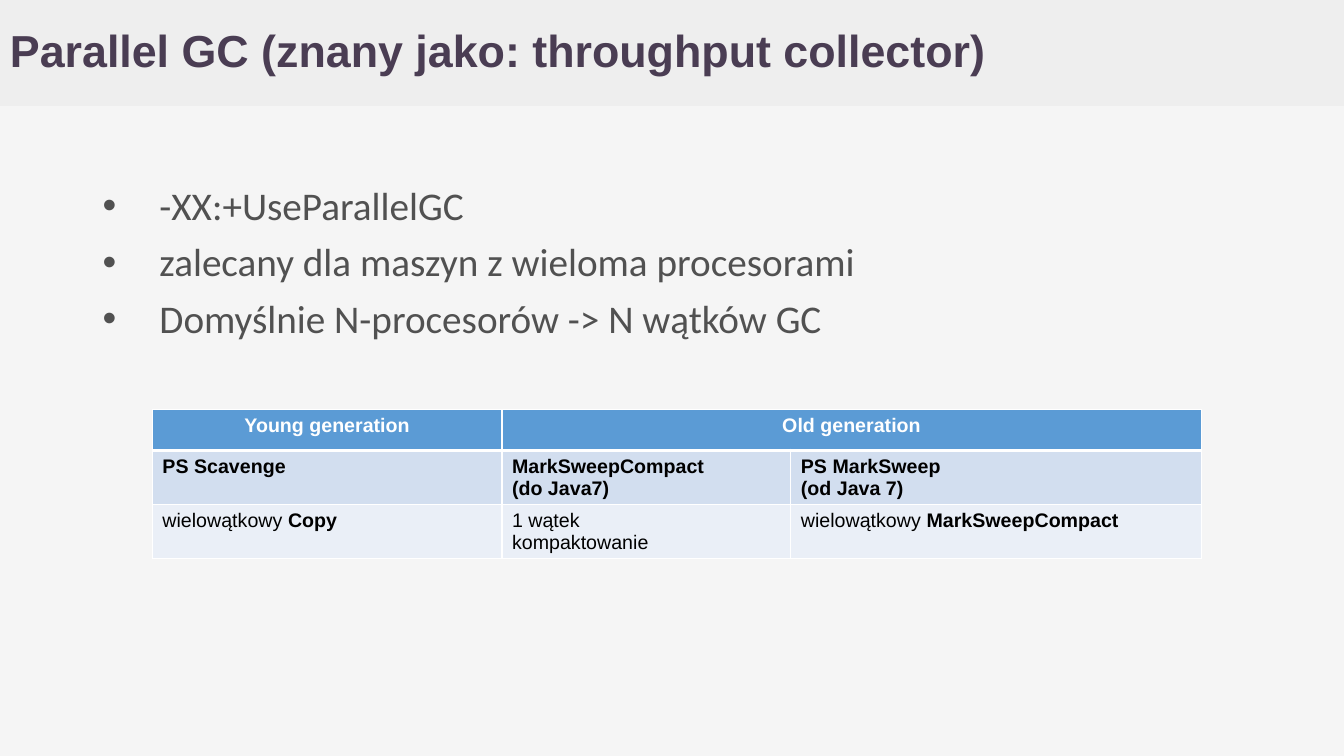
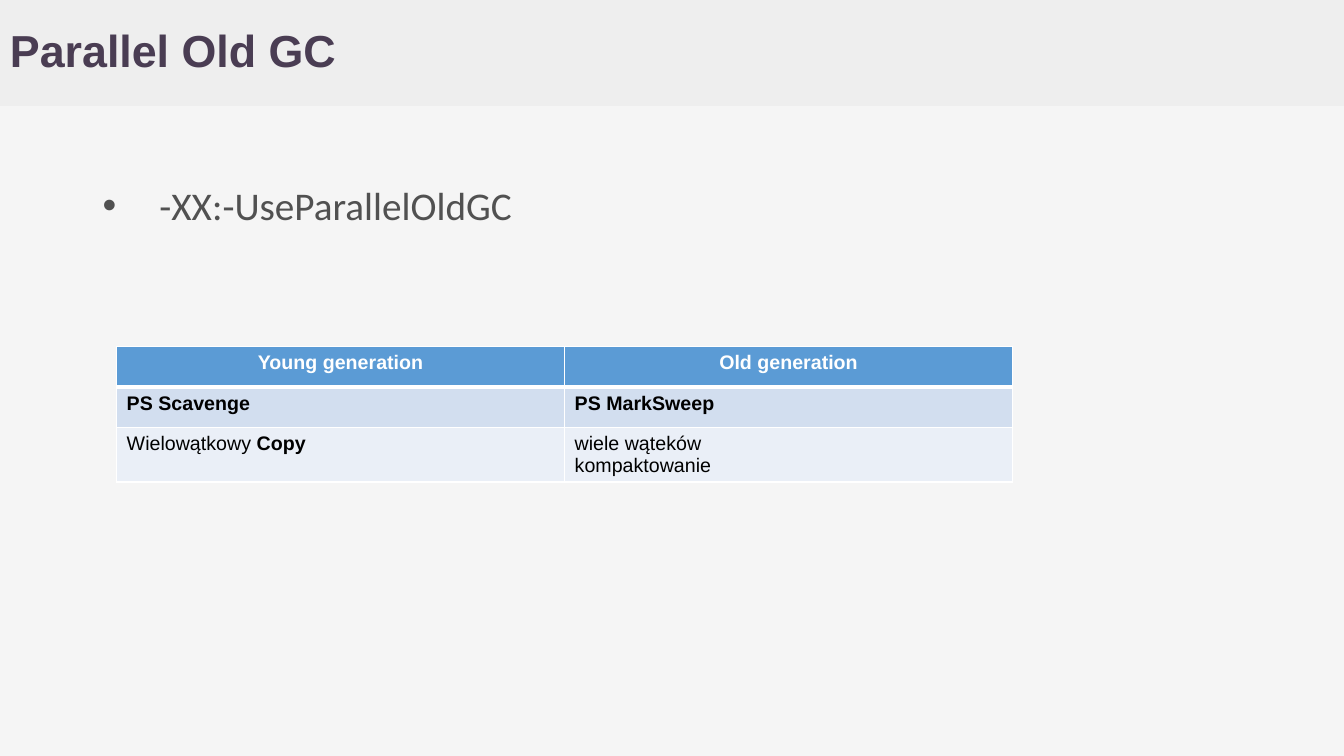
"""Two slides on the parallel garbage collectors, each with bullets and a table."""
from lxml import etree
from pptx import Presentation
from pptx import util as u
from pptx.dml.color import RGBColor
from pptx.enum import shapes, text
from pptx.oxml import ns

HUES = {
    "page": "F5F5F5", "band": "EEEEEE", "title": "4A3D53", "body": "515151",
    "white": "FFFFFF", "black": "000000",
    "head": "5B9BD5", "dark": "D2DEEF", "light": "EAEFF7",
}
FILLS = ["head", "dark", "light"]
INSET = u.Cm(0.25)
BAND = u.Cm(2.67)
HANG = u.Cm(1.43)

PAGES = [
    {
        "title": "Parallel GC (znany jako: throughput collector)",
        "points": ["-XX:+UseParallelGC",
                   "zalecany dla maszyn z wieloma procesorami",
                   "Domyślnie N-procesorów -> N wątków GC"],
        "at": (3.84, 10.31),
        "cols": [8.81, 7.28, 10.34],
        "row": 1.04,
        "rows": [
            ["Young generation", "Old generation", ""],
            ["PS Scavenge", "MarkSweepCompact\n(do Java7)", "PS MarkSweep\n(od Java 7)"],
            ["wielowątkowy |Copy", "1 wątek\nkompaktowanie", "wielowątkowy |MarkSweepCompact"],
        ],
    },
    {
        "title": "Parallel Old GC",
        "points": ["-XX:-UseParallelOldGC"],
        "at": (2.94, 8.74),
        "cols": [11.29, 11.29],
        "row": 1.02,
        "rows": [
            ["Young generation", "Old generation"],
            ["PS Scavenge", "PS MarkSweep"],
            ["Wielowątkowy |Copy", "wiele wąteków\nkompaktowanie"],
        ],
    },
]


def style(font, name, size, hue, bold=False):
    font.name, font.size, font.bold = name, u.Pt(size), bold
    font.color.rgb = RGBColor.from_string(HUES[hue])


def paint(fill, hue):
    fill.solid()
    fill.fore_color.rgb = RGBColor.from_string(HUES[hue])


deck = Presentation()
deck.slide_width, deck.slide_height = u.Cm(33.87), u.Cm(19.05)
paint(deck.slide_master.background.fill, "page")

for page in PAGES:
    slide = deck.slides.add_slide(deck.slide_layouts[5])

    band = slide.shapes.add_shape(
        shapes.MSO_SHAPE.RECTANGLE, 0, 0, deck.slide_width, BAND)
    band.shadow.inherit = False
    paint(band.fill, "band")
    band.line.fill.background()
    slide.shapes.element.insert(2, band.element)

    title = slide.shapes.title
    title.left, title.top, title.width, title.height = 0, 0, u.Cm(30.25), BAND
    title.text_frame.text = page["title"]
    title.text_frame.vertical_anchor = text.MSO_ANCHOR.MIDDLE
    head = title.text_frame.paragraphs[0]
    head.alignment = text.PP_ALIGN.LEFT
    style(head.font, "Arial", 32, "title", True)

    body = slide.shapes.add_textbox(u.Cm(2.34), u.Cm(4.45), u.Cm(29.21), u.Cm(12.98))
    body.text_frame.text = "\n".join(page["points"])
    for para in body.text_frame.paragraphs:
        para.space_before = u.Pt(10)
        style(para.font, "Calibri", 28, "body")
        props = para._p.get_or_add_pPr()
        props.set("marL", str(HANG))
        props.set("indent", str(-HANG))
        last = props.find(ns.qn("a:defRPr"))
        last.addprevious(etree.Element(ns.qn("a:buFont"), typeface="Arial"))
        last.addprevious(etree.Element(ns.qn("a:buChar"), char="•"))

    for frame in (title.text_frame, body.text_frame):
        frame.word_wrap = True
        frame.auto_size = text.MSO_AUTO_SIZE.NONE
        frame.margin_left = frame.margin_right = INSET
        frame.margin_top = frame.margin_bottom = INSET
        for para in frame.paragraphs:
            para.line_spacing = 0.9

    left, top = page["at"]
    rows, cols, high = page["rows"], page["cols"], page["row"]
    table = slide.shapes.add_table(
        len(rows), len(cols), u.Cm(left), u.Cm(top),
        u.Cm(sum(cols)), u.Cm(high * len(rows))).table
    for col, width in zip(table.columns, cols):
        col.width = u.Cm(width)
    for r, row in enumerate(rows):
        table.rows[r].height = u.Cm(high)
        for c, words in enumerate(row):
            cell = table.cell(r, c)
            cell.text_frame.text = words.replace("|", "")
            for para, line in zip(cell.text_frame.paragraphs, words.split("\n")):
                style(para.font, "Arial", 14, "black" if r else "white", r < 2)
                if r == 0:
                    para.alignment = text.PP_ALIGN.CENTER
                plain, bar, strong = line.partition("|")
                if bar:
                    para.runs[0].text = plain
                    run = para.add_run()
                    run.text = strong
                    run.font.bold = True
            props = cell._tc.get_or_add_tcPr()
            for side in "LRTB":
                thick = (r, side) in [(0, "B"), (1, "T")]
                edge = etree.SubElement(
                    props, ns.qn("a:ln" + side), w=str(u.Pt(3 if thick else 1)))
                fill = etree.SubElement(edge, ns.qn("a:solidFill"))
                etree.SubElement(fill, ns.qn("a:srgbClr"), val=HUES["white"])
            paint(cell.fill, FILLS[r])
    if len(cols) > 2:
        table.cell(0, 1).merge(table.cell(0, 2))

deck.save("out.pptx")
